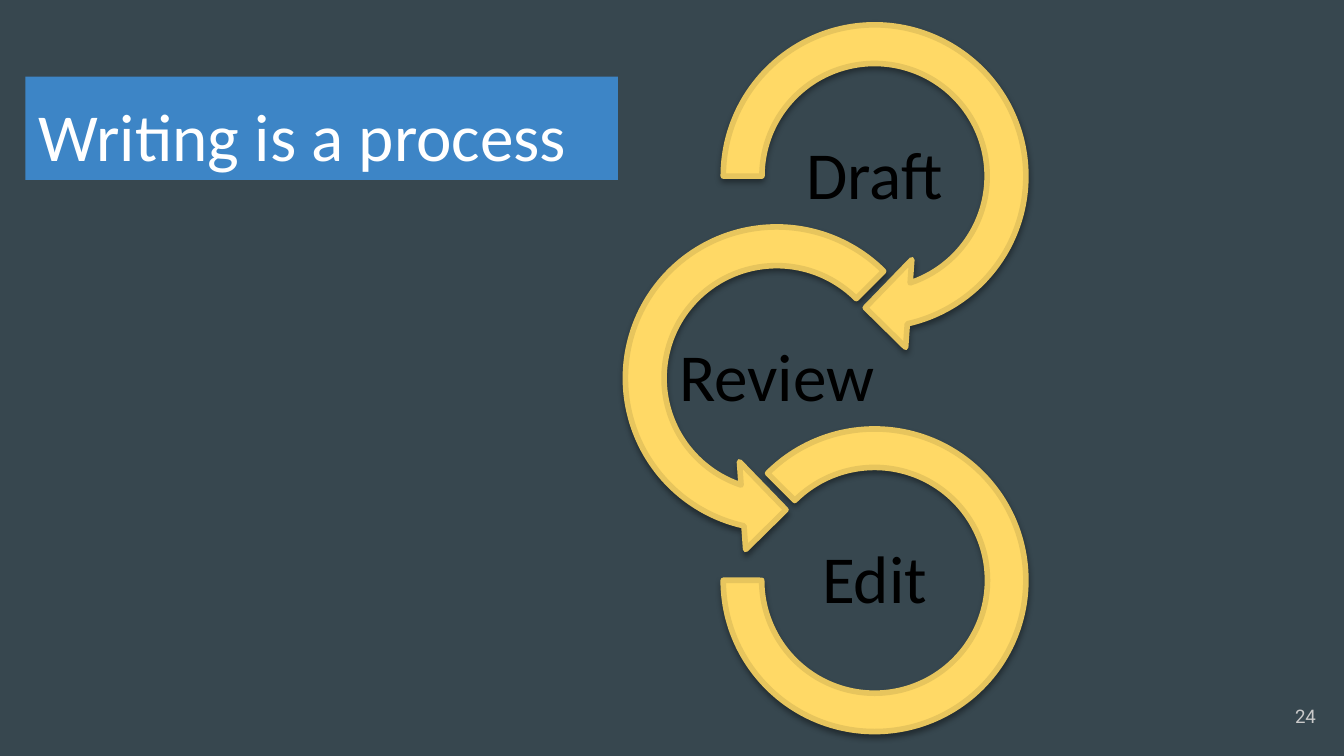
from lxml.etree import SubElement
from pptx import Presentation
from pptx.dml.color import RGBColor
from pptx.enum.shapes import MSO_SHAPE as Preset
from pptx.enum.text import MSO_ANCHOR as Anchor, PP_ALIGN as Align
from pptx.oxml.ns import qn
from pptx.util import Cm, Pt

TITLE = "Writing is a process"
PAGE_NUMBER = "24"
STEPS = [
    ("Draft", Preset.CIRCULAR_ARROW, (0.11, 11.42, 45, 108, 0.125), 6.65, 3.68),
    ("Review", Preset.LEFT_CIRCULAR_ARROW, (0.11, 11.42, 63, 189, 0.125), 6.65, 5.54),
    ("Edit", Preset.BLOCK_ARC, (135, 108, 0.127), 5.72, 3.68),
]
CENTERS_X = (16.53, 14.68)
FIRST_Y, STEP_Y = 3.33, 3.82
LABEL_HEIGHT = 1.85


def color(value):
    return RGBColor.from_string(value)


def write(box, text, size, font, ink, align, inset=0.25, spacing=1.0):
    frame = box.text_frame
    frame.word_wrap = True
    frame.vertical_anchor = Anchor.MIDDLE
    frame.margin_left = frame.margin_right = Cm(inset)
    frame.margin_top = frame.margin_bottom = Cm(inset)
    para = frame.paragraphs[0]
    para.alignment = align
    para.line_spacing = spacing
    span = para.add_run()
    span.text = text
    span.font.size = Pt(size)
    span.font.name = font
    span.font.color.rgb = color(ink)


def centered(x, y, width, height):
    return Cm(x - width / 2), Cm(y - height / 2), Cm(width), Cm(height)


def add_shadow(shape):
    effects = SubElement(shape._element.spPr, qn("a:effectLst"))
    shadow = SubElement(effects, qn("a:outerShdw"), blurRad="40000",
                        dist="20000", dir="5400000", rotWithShape="0")
    tint = SubElement(shadow, qn("a:srgbClr"), val="000000")
    SubElement(tint, qn("a:alpha"), val="38000")


def add_step(group, index, label, preset, adjustments, size, label_width):
    x = CENTERS_X[index % 2]
    y = FIRST_Y + index * STEP_Y
    ring = group.shapes.add_shape(preset, *centered(x, y, size, size))
    for number, value in enumerate(adjustments):
        ring.adjustments[number] = value
    ring.fill.solid()
    ring.fill.fore_color.rgb = color("FFD966")
    ring.line.color.rgb = color("E7C55D")
    ring.line.width = Pt(3)
    add_shadow(ring)
    box = group.shapes.add_textbox(*centered(x, y + 0.03, label_width, LABEL_HEIGHT))
    write(box, label, 36, "Calibri", "000000", Align.CENTER, 0.08, 0.9)


def main():
    deck = Presentation()
    deck.slide_width, deck.slide_height = Cm(25.4), Cm(14.29)
    page = deck.slides.add_slide(deck.slide_layouts[6])
    page.background.fill.solid()
    page.background.fill.fore_color.rgb = color("37474F")

    banner = page.shapes.add_shape(Preset.RECTANGLE, Cm(0.48), Cm(1.45), Cm(11.2), Cm(1.95))
    banner.shadow.inherit = False
    banner.fill.solid()
    banner.fill.fore_color.rgb = color("3D85C6")
    banner.line.fill.background()
    write(banner, TITLE, 36, "Calibri", "FFFFFF", Align.LEFT, spacing=1.15)

    corner = page.shapes.add_textbox(Cm(23.6), Cm(13), Cm(1.52), Cm(1.09))
    write(corner, PAGE_NUMBER, 10, "Roboto", "CACACA", Align.RIGHT)

    group = page.shapes.add_group_shape()
    for index, step in enumerate(STEPS):
        add_step(group, index, *step)
    deck.save("out.pptx")


if __name__ == "__main__":
    main()
